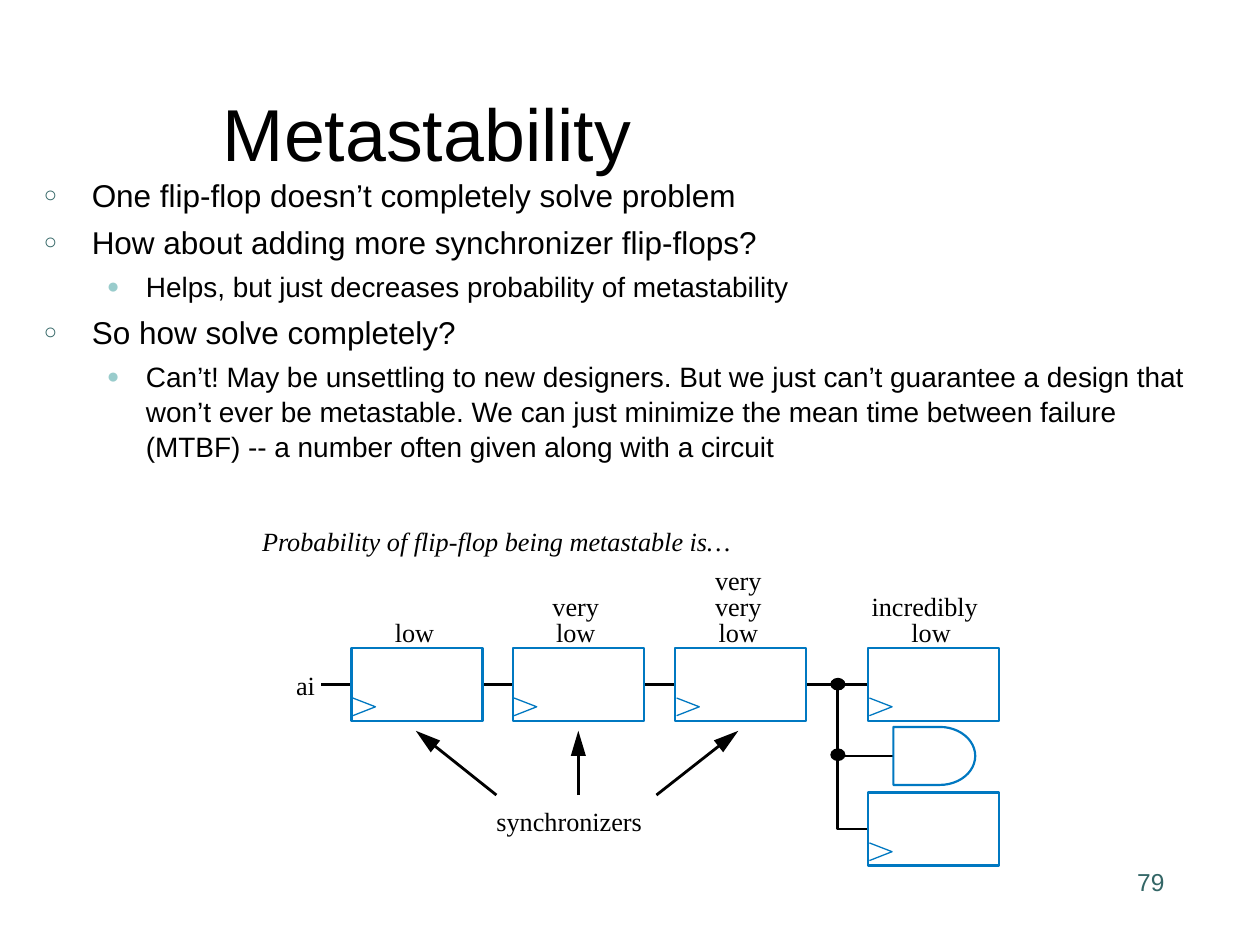
from math import cos, hypot, pi, sin

from lxml.etree import SubElement
from pptx import Presentation
from pptx.dml.color import RGBColor
from pptx.enum.shapes import MSO_CONNECTOR as CONN, MSO_SHAPE as SHAPE
from pptx.enum.text import MSO_ANCHOR as ANCHOR, PP_ALIGN as ALIGN
from pptx.oxml.ns import qn
from pptx.util import Inches, Pt

COLORS = {"text": "000000", "gate": "0078C1", "paper": "FFFFFF",
          "teal": "336666", "aqua": "99CCCC"}
SANS, SERIF = "Arial", "Times New Roman"
FF_W, FF_H = 1.04, 0.58
WIRE_Y = 0.29  # data wire, measured from the top of a flip-flop
WIRE_PT = 1.62

# Bullet styles by level: indent, hang, space before, size, mark, color, mark %
LEVELS = [(0.38, 0.38, 4.5, 18, "○", "teal", 70),
          (0.81, 0.31, 4, 16, "●", "aqua", 75)]
BULLETS = [
    (0, "One flip-flop doesn’t completely solve problem"),
    (0, "How about adding more synchronizer flip-flops?"),
    (1, "Helps, but just decreases probability of metastability"),
    (0, "So how solve completely?"),
    (1, "Can’t! May be unsettling to new designers. But we just can’t "
        "guarantee a design that won’t ever be metastable. We can just "
        "minimize the mean time between failure (MTBF) -- a number often "
        "given along with a circuit"),
]


def rgb(name):
    return RGBColor.from_string(COLORS[name])


def style(sp, fill=None, line=None, width=1.25):
    sp.shadow.inherit = False
    if fill:
        sp.fill.solid()
        sp.fill.fore_color.rgb = rgb(fill)
    else:
        sp.fill.background()
    if line:
        sp.line.color.rgb = rgb(line)
        sp.line.width = Pt(width)
    else:
        sp.line.fill.background()


def add_run(p, text, size, font, color="text", italic=False):
    r = p.add_run()
    r.text = text
    r.font.size, r.font.name, r.font.italic = Pt(size), font, italic
    r.font.color.rgb = rgb(color)


def add_box(slide, x, y, w, h, wrap=True):
    tf = slide.shapes.add_textbox(*map(Inches, (x, y, w, h))).text_frame
    tf.word_wrap = wrap
    return tf


def add_label(slide, text, x, y, w, align=ALIGN.LEFT, italic=False):
    tf = add_box(slide, x, y, w, 0.25, wrap=False)
    tf.margin_left = tf.margin_right = tf.margin_top = tf.margin_bottom = 0
    p = tf.paragraphs[0]
    p.alignment = align
    add_run(p, text, 15, SERIF, italic=italic)


def add_line(slide, x1, y1, x2, y2):
    ln = slide.shapes.add_connector(CONN.STRAIGHT, *map(Inches, (x1, y1, x2, y2)))
    ln.line.color.rgb = rgb("text")
    ln.line.width = Pt(WIRE_PT)
    SubElement(ln._element.spPr, qn("a:effectLst"))


def add_path(slide, points, close=False, **look):
    first, *rest = [(Inches(x), Inches(y)) for x, y in points]
    builder = slide.shapes.build_freeform(*first)
    builder.add_line_segments(rest, close=close)
    style(builder.convert_to_shape(), **look)


def add_title(slide, x, y, w, h):
    tf = add_box(slide, x, y, w, h)
    tf.vertical_anchor = ANCHOR.MIDDLE
    add_run(tf.paragraphs[0], "Metastability", 42, SANS)


def add_bullets(slide, x, y, w, h):
    tf = add_box(slide, x, y, w, h)
    for i, (level, text) in enumerate(BULLETS):
        indent, hang, before, size, mark, color, pct = LEVELS[level]
        p = tf.add_paragraph() if i else tf.paragraphs[0]
        p.level = level
        p.space_before = Pt(before)
        p.line_spacing = 1.05
        pPr = p._p.get_or_add_pPr()
        pPr.set("marL", str(Inches(indent)))
        pPr.set("indent", str(-Inches(hang)))
        SubElement(SubElement(pPr, qn("a:buClr")), qn("a:srgbClr"), val=COLORS[color])
        SubElement(pPr, qn("a:buSzPct"), val=str(pct * 1000))
        SubElement(pPr, qn("a:buFont"), typeface=SANS)
        SubElement(pPr, qn("a:buChar"), char=mark)
        add_run(p, text, size, SANS)


def add_flip_flop(slide, x, y):
    sp = slide.shapes.add_shape(SHAPE.RECTANGLE, *map(Inches, (x, y, FF_W, FF_H)))
    style(sp, line="gate")
    clock = [(x + 0.01, y + 0.54), (x + 0.19, y + 0.47), (x + 0.01, y + 0.4)]
    add_path(slide, clock, line="gate", width=0.75)


def add_and_gate(slide, x, y, w, h):
    arc_w, steps = 0.28, 24
    angles = [pi / 2 - pi * i / steps for i in range(steps + 1)]
    arc = [(x + w - arc_w + arc_w * cos(a), y + h / 2 + h / 2 * sin(a))
           for a in angles]
    add_path(slide, [(x, y + h), *arc, (x, y)], close=True, fill="paper", line="gate")


def add_dot(slide, cx, cy):
    w, h = 0.11, 0.09
    sp = slide.shapes.add_shape(
        SHAPE.OVAL, *map(Inches, (cx - w / 2, cy - h / 2, w, h)))
    style(sp, fill="text", line="text", width=0.75)


def add_arrow(slide, x1, y1, x2, y2, head=0.2, half=0.06):
    length = hypot(x2 - x1, y2 - y1)
    ux, uy = (x2 - x1) / length, (y2 - y1) / length
    bx, by = x2 - head * ux, y2 - head * uy
    add_line(slide, x1, y1, bx + 0.03 * ux, by + 0.03 * uy)
    add_path(slide, [(x2, y2), (bx - half * uy, by + half * ux),
                     (bx + half * uy, by - half * ux)], close=True, fill="text")


def add_circuit(slide, x, y):
    """Synchronizer chain; (x, y) is the top left of the first flip-flop."""
    stages = [(x, ["low"]), (x + 1.28, ["very", "low"]),
              (x + 2.57, ["very", "very", "low"]), (x + 4.1, ["incredibly", "low"])]
    wire_y, lower_y = y + WIRE_Y, y + 1.15
    bus_x, gate_y = x + 3.86, y + 0.86

    # Wires, branch and junctions
    start = x - 0.24
    for left, _ in stages:
        add_line(slide, start, wire_y, left, wire_y)
        start = left + FF_W
    last_x = stages[-1][0]
    add_path(slide, [(last_x, lower_y + WIRE_Y), (bus_x, lower_y + WIRE_Y),
                     (bus_x, wire_y)], line="text", width=WIRE_PT)
    add_line(slide, bus_x, gate_y, x + 4.3, gate_y)
    for dot_y in (wire_y, gate_y - 0.01):
        add_dot(slide, bus_x, dot_y)

    # Flip-flops, each with its probability stacked above
    for left, words in stages:
        add_flip_flop(slide, left, y)
        for i, word in enumerate(reversed(words)):
            shift = -0.07 if word == "incredibly" else -0.02
            add_label(slide, word, left + shift, y - 0.25 - 0.205 * i, FF_W, ALIGN.CENTER)
    add_flip_flop(slide, last_x, lower_y)
    add_and_gate(slide, x + 4.3, gate_y - 0.23, 0.65, 0.46)

    # Arrows from the caption to the synchronizers
    mid = x + 1.8
    for tail, tip in ((-0.65, -1.29), (0, 0), (0.62, 1.27)):
        add_arrow(slide, mid + tail, y + 1.17, mid + tip, y + 0.66)

    add_label(slide, "ai", x - 0.44, y + 0.17, 0.15)
    add_label(slide, "synchronizers", x + 1.15, y + 1.25, 1.16)
    add_label(slide, "Probability of flip-flop being metastable is…",
              x - 0.71, y - 0.97, 3.73, italic=True)


def add_page_number(slide, x, y, w, h):
    p = add_box(slide, x, y, w, h).paragraphs[0]
    p.alignment = ALIGN.RIGHT
    add_run(p, "79", 14, SANS, "teal")


def main():
    prs = Presentation()
    prs.slide_width, prs.slide_height = Inches(10), Inches(7.5)
    slide = prs.slides.add_slide(prs.slide_layouts[6])
    add_title(slide, 1.67, 0.21, 7.67, 1.67)
    add_bullets(slide, 0.25, 1.33, 9.42, 2.75)
    add_circuit(slide, 2.79, 5.14)
    add_page_number(slide, 7.92, 6.83, 1.42, 0.5)
    prs.save("out.pptx")


if __name__ == "__main__":
    main()
